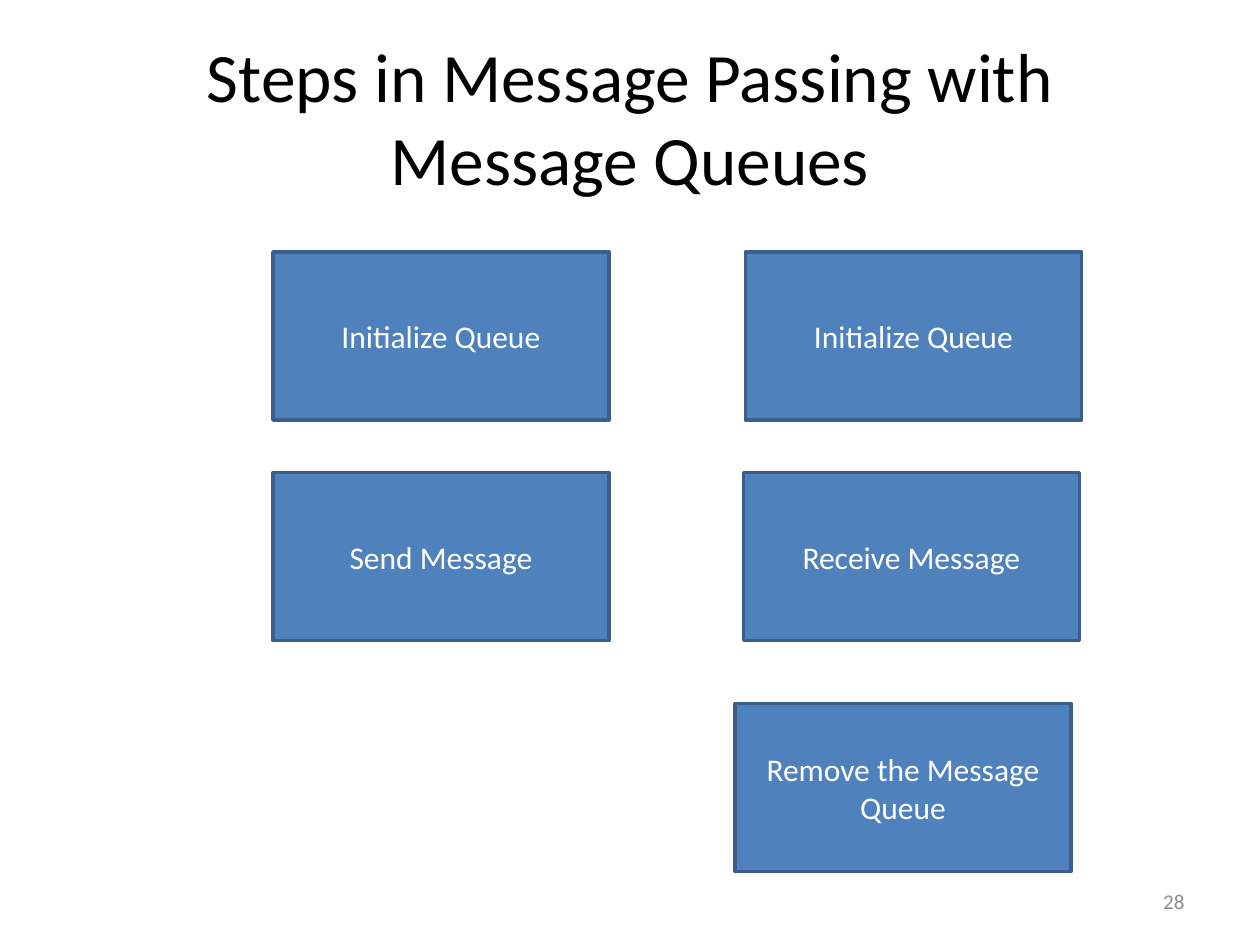
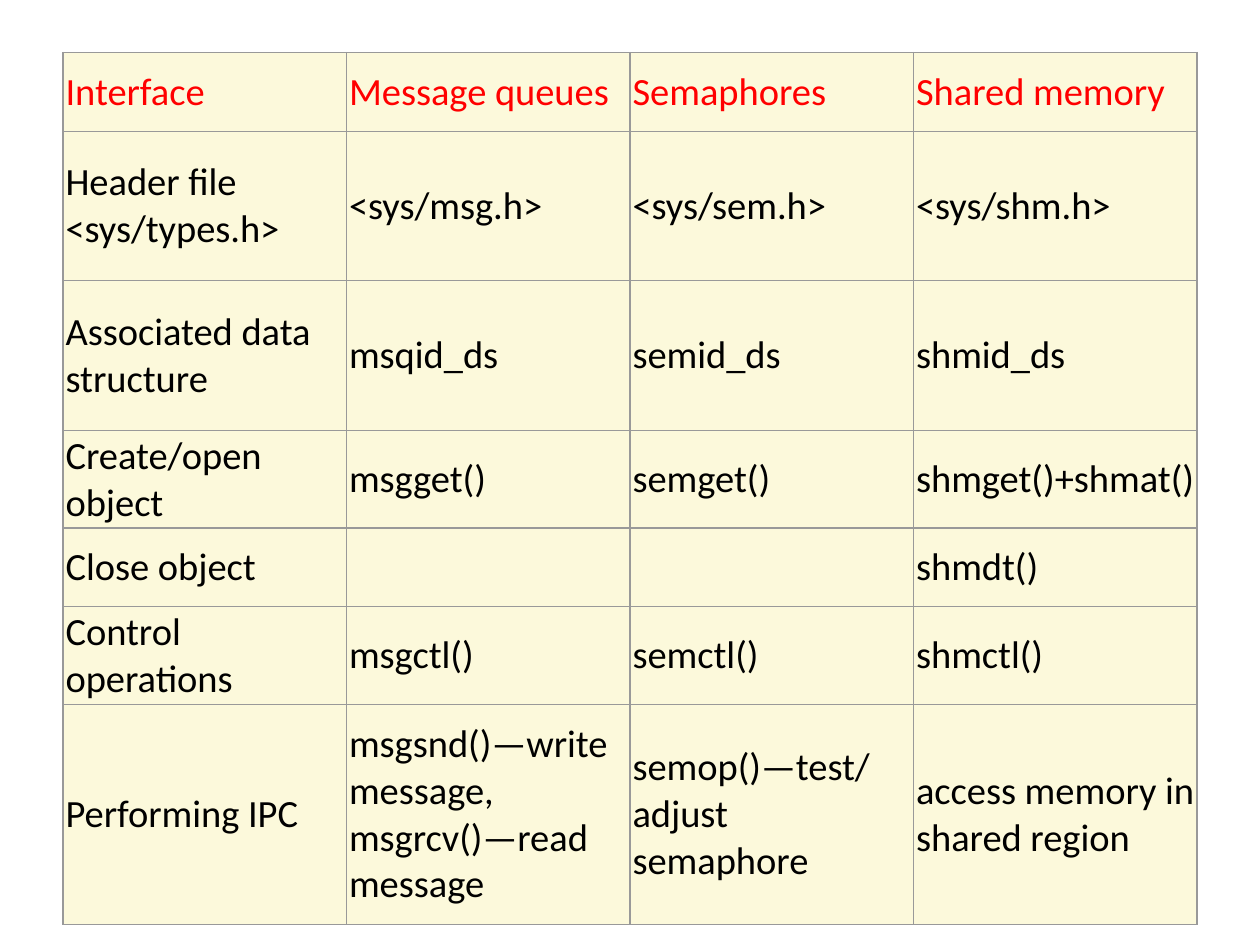
"""Build two slides on interprocess communication with message queues."""
from dataclasses import dataclass

from lxml import etree
from pptx import Presentation
from pptx.dml.color import RGBColor
from pptx.enum.shapes import MSO_SHAPE
from pptx.enum.text import MSO_ANCHOR, PP_ALIGN
from pptx.oxml.ns import qn
from pptx.presentation import Presentation as Deck
from pptx.slide import Slide
from pptx.table import _Cell as Cell
from pptx.text.text import TextFrame
from pptx.util import Inches, Pt

RECTANGLE = MSO_SHAPE.RECTANGLE
MIDDLE = MSO_ANCHOR.MIDDLE
LEFT, CENTER, RIGHT = PP_ALIGN.LEFT, PP_ALIGN.CENTER, PP_ALIGN.RIGHT
BLANK_LAYOUT = 6
UNITS_PER_INCH = 12
BORDER_SIDES = ("a:lnL", "a:lnR", "a:lnT", "a:lnB")


@dataclass(frozen=True)
class TextStyle:
    """Size, colour and alignment of a text."""
    size: float
    color: str
    align: PP_ALIGN = LEFT


@dataclass(frozen=True)
class Theme:
    """Colours and type sizes of the deck."""
    font: str = "Calibri"
    title: TextStyle = TextStyle(39.6, "000000", CENTER)
    step: TextStyle = TextStyle(18, "FFFFFF", CENTER)
    page_number: TextStyle = TextStyle(12, "8C8C8C", RIGHT)
    header: TextStyle = TextStyle(22, "FF0000")
    body: TextStyle = TextStyle(22, "000000")
    step_fill: str = "4F81BD"
    step_line: str = "3A5F8C"
    step_line_width: float = 2
    cell_fill: str = "FCF9DB"
    cell_border: str = "999999"
    cell_border_width: float = 0.75


@dataclass(frozen=True)
class Area:
    """A rectangle in grid units, twelve to the inch."""
    left: float
    top: float
    width: float
    height: float

    def lengths(self) -> tuple[int, int, int, int]:
        """Return the rectangle as slide lengths."""
        return (units(self.left), units(self.top),
                units(self.width), units(self.height))


@dataclass(frozen=True)
class Step:
    """One box of the message passing sequence."""
    text: str
    left: float
    top: float


THEME = Theme()
PAGE = Area(0, 0, 120, 90)
TITLE_AREA = Area(6, 3.6, 108, 15)
NUMBER_AREA = Area(86, 83.4, 28, 4.8)
TITLE_INSET = 1.8
CELL_INSET = 0.25
STEP_WIDTH, STEP_HEIGHT = 32, 16
SENDER, RECEIVER = 26, 71
STEP_ROWS = (24, 45, 67)
STEPS = (
    Step("Initialize Queue", SENDER, STEP_ROWS[0]),
    Step("Send Message", SENDER, STEP_ROWS[1]),
    Step("Initialize Queue", RECEIVER, STEP_ROWS[0]),
    Step("Receive Message", RECEIVER - 0.2, STEP_ROWS[1]),
    Step("Remove the Message Queue", RECEIVER - 1, STEP_ROWS[2]),
)
SHORT_ROW, TALL_ROW, LAST_ROW = 7.5, 14.25, 21
ROW_HEIGHTS = (SHORT_ROW, TALL_ROW, TALL_ROW,
               SHORT_ROW, SHORT_ROW, SHORT_ROW, LAST_ROW)
INTERFACES = (
    ("Interface", "Message queues", "Semaphores", "Shared memory"),
    ("Header file\n<sys/types.h>", "<sys/msg.h>", "<sys/sem.h>", "<sys/shm.h>"),
    ("Associated data structure", "msqid_ds", "semid_ds", "shmid_ds"),
    ("Create/open object", "msgget()", "semget()", "shmget()+shmat()"),
    ("Close object", "", "", "shmdt()"),
    ("Control operations", "msgctl()", "semctl()", "shmctl()"),
    ("Performing IPC", "msgsnd()—write message, msgrcv()—read message",
     "semop()—test/adjust semaphore", "access memory in shared region"),
)
TABLE_AREA = Area(6, 5, 108, sum(ROW_HEIGHTS))


def units(count: float) -> int:
    """Convert grid units to a slide length."""
    return Inches(count / UNITS_PER_INCH)


def rgb(color: str) -> RGBColor:
    """Convert a hexadecimal colour."""
    return RGBColor.from_string(color)


def write(frame: TextFrame, text: str, style: TextStyle) -> None:
    """Set the text of a frame and format its runs."""
    frame.text = text
    for para in frame.paragraphs:
        para.alignment = style.align
        for span in para.runs:
            span.font.name = THEME.font
            span.font.size = Pt(style.size)
            span.font.color.rgb = rgb(style.color)


def add_label(page: Slide, area: Area, text: str, style: TextStyle,
              inset: float = 1.2) -> None:
    """Add a wrapped, vertically centred text box."""
    frame = page.shapes.add_textbox(*area.lengths()).text_frame
    frame.word_wrap = True
    frame.vertical_anchor = MIDDLE
    frame.margin_left = frame.margin_right = units(inset)
    write(frame, text, style)


def add_step(page: Slide, step: Step) -> None:
    """Draw one step box."""
    area = Area(step.left, step.top, STEP_WIDTH, STEP_HEIGHT)
    box = page.shapes.add_shape(RECTANGLE, *area.lengths())
    box.shadow.inherit = False
    box.fill.solid()
    box.fill.fore_color.rgb = rgb(THEME.step_fill)
    box.line.color.rgb = rgb(THEME.step_line)
    box.line.width = Pt(THEME.step_line_width)
    box.text_frame.word_wrap = True
    box.text_frame.vertical_anchor = MIDDLE
    write(box.text_frame, step.text, THEME.step)


def add_borders(cell: Cell) -> None:
    """Draw a thin line on each side of a cell."""
    properties = cell._tc.get_or_add_tcPr()
    for side in BORDER_SIDES:
        line = etree.SubElement(properties, qn(side),
                                w=str(Pt(THEME.cell_border_width)))
        fill = etree.SubElement(line, qn("a:solidFill"))
        etree.SubElement(fill, qn("a:srgbClr"), val=THEME.cell_border)


def format_cell(cell: Cell, text: str, style: TextStyle) -> None:
    """Fill, frame and write one table cell."""
    add_borders(cell)
    cell.fill.solid()
    cell.fill.fore_color.rgb = rgb(THEME.cell_fill)
    cell.vertical_anchor = MIDDLE
    cell.margin_left = cell.margin_right = units(CELL_INSET)
    cell.margin_top = cell.margin_bottom = units(CELL_INSET)
    write(cell.text_frame, text, style)


def add_page(deck: Deck) -> Slide:
    """Append a blank page."""
    return deck.slides.add_slide(deck.slide_layouts[BLANK_LAYOUT])


def build_steps_page(deck: Deck) -> None:
    """Build the page with the message passing steps."""
    page = add_page(deck)
    add_label(page, TITLE_AREA, "Steps in Message Passing with Message Queues",
              THEME.title, TITLE_INSET)
    for step in STEPS:
        add_step(page, step)
    add_label(page, NUMBER_AREA, "28", THEME.page_number)


def build_interfaces_page(deck: Deck) -> None:
    """Build the page with the interface comparison table."""
    page = add_page(deck)
    column_count = len(INTERFACES[0])
    table = page.shapes.add_table(len(INTERFACES), column_count,
                                  *TABLE_AREA.lengths()).table
    table.first_row = False
    table.horz_banding = False
    for column in table.columns:
        column.width = units(TABLE_AREA.width / column_count)
    for row_index, (texts, height) in enumerate(zip(INTERFACES, ROW_HEIGHTS)):
        table.rows[row_index].height = units(height)
        style = THEME.body if row_index else THEME.header
        for column_index, text in enumerate(texts):
            format_cell(table.cell(row_index, column_index), text, style)


def main() -> None:
    """Build and save the deck."""
    deck = Presentation()
    deck.slide_width = units(PAGE.width)
    deck.slide_height = units(PAGE.height)
    build_steps_page(deck)
    build_interfaces_page(deck)
    deck.save("out.pptx")


if __name__ == "__main__":
    main()
